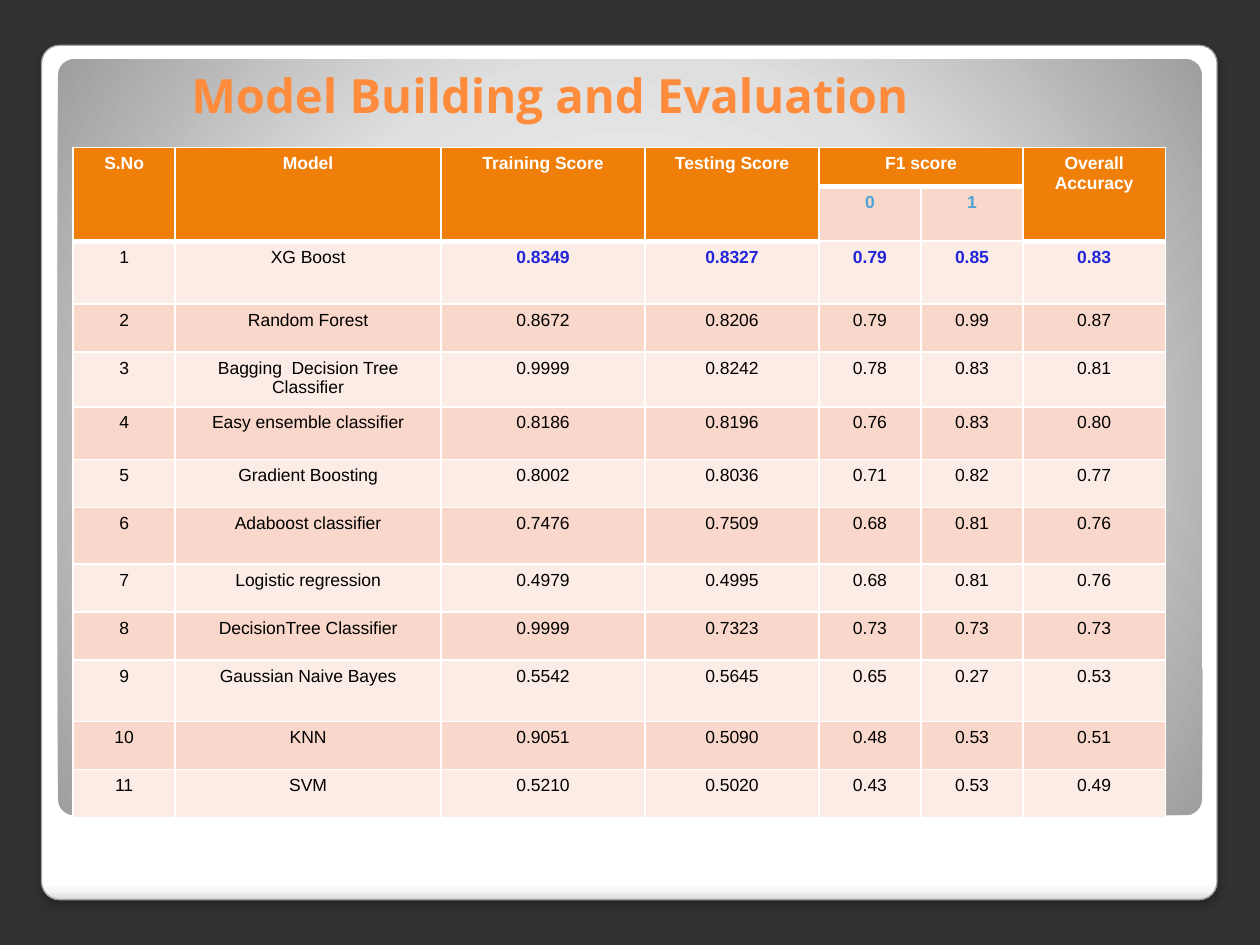
from lxml import etree
from pptx import Presentation
from pptx.dml.color import RGBColor
from pptx.enum.shapes import MSO_SHAPE
from pptx.enum.text import MSO_ANCHOR, PP_ALIGN
from pptx.oxml.ns import qn
from pptx.util import Inches, Pt

ROUNDED = MSO_SHAPE.ROUNDED_RECTANGLE
MIDDLE = MSO_ANCHOR.MIDDLE
LEFT, CENTER = PP_ALIGN.LEFT, PP_ALIGN.CENTER

COLORS = {
    "backdrop": "323232", "frame": "A2A0A0", "title": "FF8C3C",
    "header": "F07F09", "dark band": "F9D7CA", "light band": "FCECE6",
    "white": "FFFFFF", "black": "000000", "class": "4DA3D8", "best": "2226D8",
}
FRAME_STOPS = [(0, "FFFFFF"), (98, "FFFFFF"), (99, "F6F6F6"), (100, "D8D8D8")]
PANEL_STOPS = [(0, "FFFFFF"), (55, "DFDFDF"), (100, "9E9E9E")]

COLUMN_WIDTHS = [0.81, 2.11, 1.62, 1.38, 0.81, 0.81, 1.13]
ROW_HEIGHTS = [0.31, 0.41, 0.5, 0.38, 0.41, 0.42, 0.38, 0.45, 0.38, 0.38, 0.49, 0.38, 0.38]
HEADINGS = ["S.No", "Model", "Training Score", "Testing Score", "F1 score", "", "Overall Accuracy"]
F1_CLASSES = ["", "", "", "", "0", "1", ""]
SCORES = [
    ("XG Boost", "0.8349", "0.8327", "0.79", "0.85", "0.83"),
    ("Random Forest", "0.8672", "0.8206", "0.79", "0.99", "0.87"),
    ("Bagging  Decision Tree Classifier", "0.9999", "0.8242", "0.78", "0.83", "0.81"),
    ("Easy ensemble classifier", "0.8186", "0.8196", "0.76", "0.83", "0.80"),
    ("Gradient Boosting", "0.8002", "0.8036", "0.71", "0.82", "0.77"),
    ("Adaboost classifier", "0.7476", "0.7509", "0.68", "0.81", "0.76"),
    ("Logistic regression", "0.4979", "0.4995", "0.68", "0.81", "0.76"),
    ("DecisionTree Classifier", "0.9999", "0.7323", "0.73", "0.73", "0.73"),
    ("Gaussian Naive Bayes", "0.5542", "0.5645", "0.65", "0.27", "0.53"),
    ("KNN", "0.9051", "0.5090", "0.48", "0.53", "0.51"),
    ("SVM", "0.5210", "0.5020", "0.43", "0.53", "0.49"),
]


def add_node(parent, tag, **attributes):
    """Append a DrawingML element and return it."""
    values = {name: str(value) for name, value in attributes.items()}
    return etree.SubElement(parent, qn(tag), values)


class SlideBuilder:
    """Holds the style and the current slide."""

    def __init__(self, slide):
        self.slide = slide
        self.title_font, self.table_font = "Open Sans", "Arial"

    def color(self, name):
        """Look up a named colour."""
        return RGBColor.from_string(COLORS[name])

    def background(self, name):
        """Fill the slide background."""
        fill = self.slide.background.fill
        fill.solid()
        fill.fore_color.rgb = self.color(name)

    def add_text(self, frame, text, size, font, color, bold, align):
        """Put one styled run into a text frame."""
        para = frame.paragraphs[0]
        para.alignment = align
        span = para.add_run()
        span.text = text
        span.font.size, span.font.name, span.font.bold = Pt(size), font, bold
        span.font.color.rgb = self.color(color)

    def panel(self, left, top, width, height, stops, radial=False, outline=None):
        """Add a rounded panel with a gradient fill."""
        box = self.slide.shapes.add_shape(
            ROUNDED, Inches(left), Inches(top), Inches(width), Inches(height))
        box.adjustments[0] = 0.021
        box.shadow.inherit = False
        box.fill.gradient()
        gradient = box._element.spPr.find(qn("a:gradFill"))
        for child in list(gradient):
            gradient.remove(child)
        stop_list = add_node(gradient, "a:gsLst")
        for position, value in stops:
            stop = add_node(stop_list, "a:gs", pos=position * 1000)
            add_node(stop, "a:srgbClr", val=value)
        if radial:
            circle = add_node(gradient, "a:path", **{"path": "circle"})
            add_node(circle, "a:fillToRect", l=50000, t=50000, r=50000, b=50000)
        else:
            add_node(gradient, "a:lin", ang=90 * 60000, scaled=0)
        if outline:
            box.line.color.rgb = self.color(outline)
            box.line.width = Pt(0.75)
        else:
            box.line.fill.background()
        return box

    def drop_shadow(self, box, blur, distance, opacity):
        """Give a shape a soft black shadow below it."""
        effects = box._element.spPr.find(qn("a:effectLst"))
        shadow = add_node(effects, "a:outerShdw", blurRad=Pt(blur), dist=Pt(distance),
                          dir=90 * 60000, algn="t", rotWithShape=0)
        black = add_node(shadow, "a:srgbClr", val=COLORS["black"])
        add_node(black, "a:alpha", val=opacity * 1000)

    def title(self, text, left, top, width, height):
        """Add the slide title."""
        frame = self.slide.shapes.add_textbox(
            Inches(left), Inches(top), Inches(width), Inches(height)).text_frame
        frame.word_wrap = True
        frame.vertical_anchor = MIDDLE
        frame.margin_left = frame.margin_right = Inches(0.1)
        frame.margin_top = frame.margin_bottom = Inches(0.1)
        self.add_text(frame, text, 27, self.title_font, "title", True, LEFT)

    def cell(self, cell, text, fill, color, bold, bottom=1):
        """Style one table cell and set its text."""
        properties = cell._tc.get_or_add_tcPr()
        for side, width in (("L", 1), ("R", 1), ("T", 1), ("B", bottom)):
            line = add_node(properties, "a:ln" + side, w=Pt(width))
            add_node(add_node(line, "a:solidFill"), "a:srgbClr", val=COLORS["white"])
        cell.fill.solid()
        cell.fill.fore_color.rgb = self.color(fill)
        if text:
            self.add_text(cell.text_frame, text, 10, self.table_font, color, bold, CENTER)
        else:
            add_node(cell.text_frame.paragraphs[0]._p, "a:endParaRPr", sz=1000)

    def score_table(self, left, top):
        """Add the table of model scores."""
        table = self.slide.shapes.add_table(
            len(ROW_HEIGHTS), len(COLUMN_WIDTHS), Inches(left), Inches(top),
            Inches(sum(COLUMN_WIDTHS)), Inches(sum(ROW_HEIGHTS))).table
        table.first_row = table.horz_banding = False
        for column, width in zip(table.columns, COLUMN_WIDTHS):
            column.width = Inches(width)
        for row, height in zip(table.rows, ROW_HEIGHTS):
            row.height = Inches(height)

        for column, (heading, f1_class) in enumerate(zip(HEADINGS, F1_CLASSES)):
            self.cell(table.cell(0, column), heading, "header", "white", True, 3)
            if f1_class:
                self.cell(table.cell(1, column), f1_class, "dark band", "class", True)
            else:
                self.cell(table.cell(1, column), "", "header", "white", True, 3)
                table.cell(0, column).merge(table.cell(1, column))
        table.cell(0, 4).merge(table.cell(0, 5))

        for number, scores in enumerate(SCORES, start=1):
            band = "light band" if number % 2 else "dark band"
            for column, text in enumerate((str(number), *scores)):
                best = number == 1 and column >= 2
                self.cell(table.cell(number + 1, column), text, band,
                          "best" if best else "black", best)


def main():
    """Build and save the deck."""
    deck = Presentation()
    deck.slide_width, deck.slide_height = Inches(10), Inches(7.5)
    page = SlideBuilder(deck.slides.add_slide(deck.slide_layouts[6]))
    page.background("backdrop")
    frame = page.panel(0.33, 0.36, 9.33, 6.78, FRAME_STOPS, outline="frame")
    page.drop_shadow(frame, blur=6, distance=4, opacity=25)
    page.panel(0.46, 0.47, 9.08, 6, PANEL_STOPS, radial=True)
    page.title("Model Building and Evaluation", 1.42, 0.42, 6.92, 0.67)
    page.score_table(0.58, 1.17)
    deck.save("out.pptx")


main()
